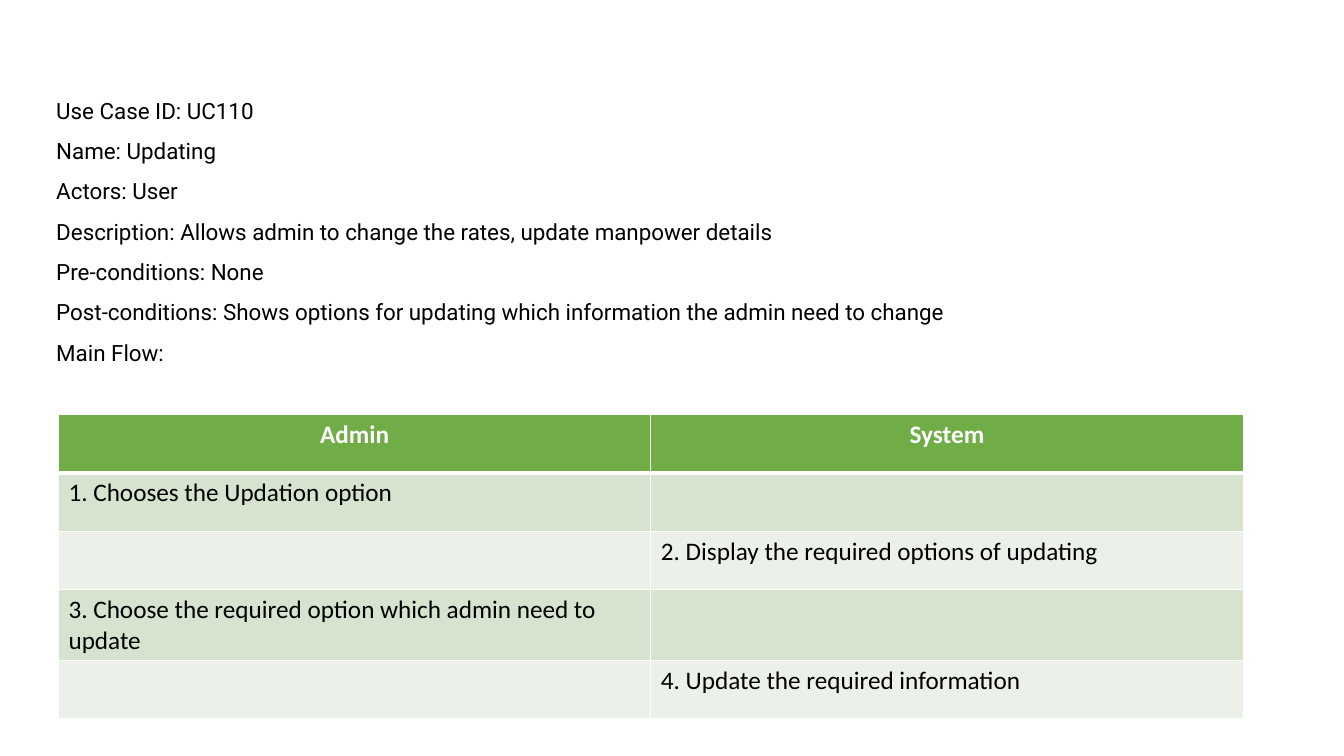
from dataclasses import dataclass

from lxml import etree
from pptx import Presentation
from pptx.dml.color import RGBColor
from pptx.enum import text
from pptx.oxml import ns
from pptx.util import Inches, Pt

BLACK = RGBColor(0x00, 0x00, 0x00)
WHITE = RGBColor(0xFF, 0xFF, 0xFF)
GREEN = RGBColor(0x70, 0xAD, 0x47)
BANDS = (RGBColor(0xEB, 0xF1, 0xE9), RGBColor(0xD5, 0xE3, 0xCF))


@dataclass
class Style:
    font: str
    size: int
    color: RGBColor
    bold: bool = False


@dataclass
class Step:
    admin: str = ""
    system: str = ""


PLAIN = Style("Roboto", 16, BLACK)
HEAD = Style("Calibri", 18, WHITE, True)
BODY = Style("Calibri", 18, BLACK)

DETAILS = (
    "Use Case ID: UC110",
    "Name: Updating",
    "Actors: User",
    "Description: Allows admin to change the rates, update manpower details",
    "Pre-conditions: None",
    "Post-conditions: Shows options for updating which information the admin need to change",
    "Main Flow:",
)
STEPS = (
    Step("Admin", "System"),
    Step(admin="1. Chooses the Updation option"),
    Step(system="2. Display the required options of updating"),
    Step(admin="3. Choose the required option which admin need to update"),
    Step(system="4. Update the required information"),
)


def add_run(para, words: str, style: Style) -> None:
    run = para.add_run()
    run.text = words
    font = run.font
    font.name, font.size, font.bold = style.font, Pt(style.size), style.bold
    font.color.rgb = style.color


def add_details(slide) -> None:
    box = slide.shapes.add_textbox(Inches(0.46), Inches(0.78), Inches(12.4), Inches(2.88))
    frame = box.text_frame
    frame.word_wrap = True
    frame.auto_size = text.MSO_AUTO_SIZE.SHAPE_TO_FIT_TEXT
    for i, line in enumerate(DETAILS):
        para = frame.add_paragraph() if i else frame.paragraphs[0]
        para.line_spacing = 1.5
        add_run(para, line, PLAIN)


def add_edges(cell, top: int, bottom: int) -> None:
    """Draw white cell borders; widths are in points."""
    props = cell._tc.get_or_add_tcPr()
    for side, width in (("L", 1), ("R", 1), ("T", top), ("B", bottom)):
        edge = etree.SubElement(props, ns.qn(f"a:ln{side}"), w=str(Pt(width)))
        fill = etree.SubElement(edge, ns.qn("a:solidFill"))
        etree.SubElement(fill, ns.qn("a:srgbClr"), val=str(WHITE))


def add_flow(slide) -> None:
    high = Inches(0.58)
    table = slide.shapes.add_table(
        len(STEPS), 2, Inches(0.58), Inches(4.11), Inches(11.75), high * len(STEPS)
    ).table
    for r, step in enumerate(STEPS):
        table.rows[r].height = high
        for c, words in enumerate((step.admin, step.system)):
            cell = table.cell(r, c)
            add_edges(cell, 3 if r == 1 else 1, 3 if r == 0 else 1)
            cell.fill.solid()
            cell.fill.fore_color.rgb = BANDS[r % 2] if r else GREEN
            para = cell.text_frame.paragraphs[0]
            if r == 0:
                para.alignment = text.PP_ALIGN.CENTER
            if words:
                add_run(para, words, BODY if r else HEAD)


def main() -> None:
    deck = Presentation()
    deck.slide_width, deck.slide_height = Inches(13.33), Inches(7.5)
    slide = deck.slides.add_slide(deck.slide_layouts[6])
    add_details(slide)
    add_flow(slide)
    deck.save("out.pptx")


if __name__ == "__main__":
    main()
